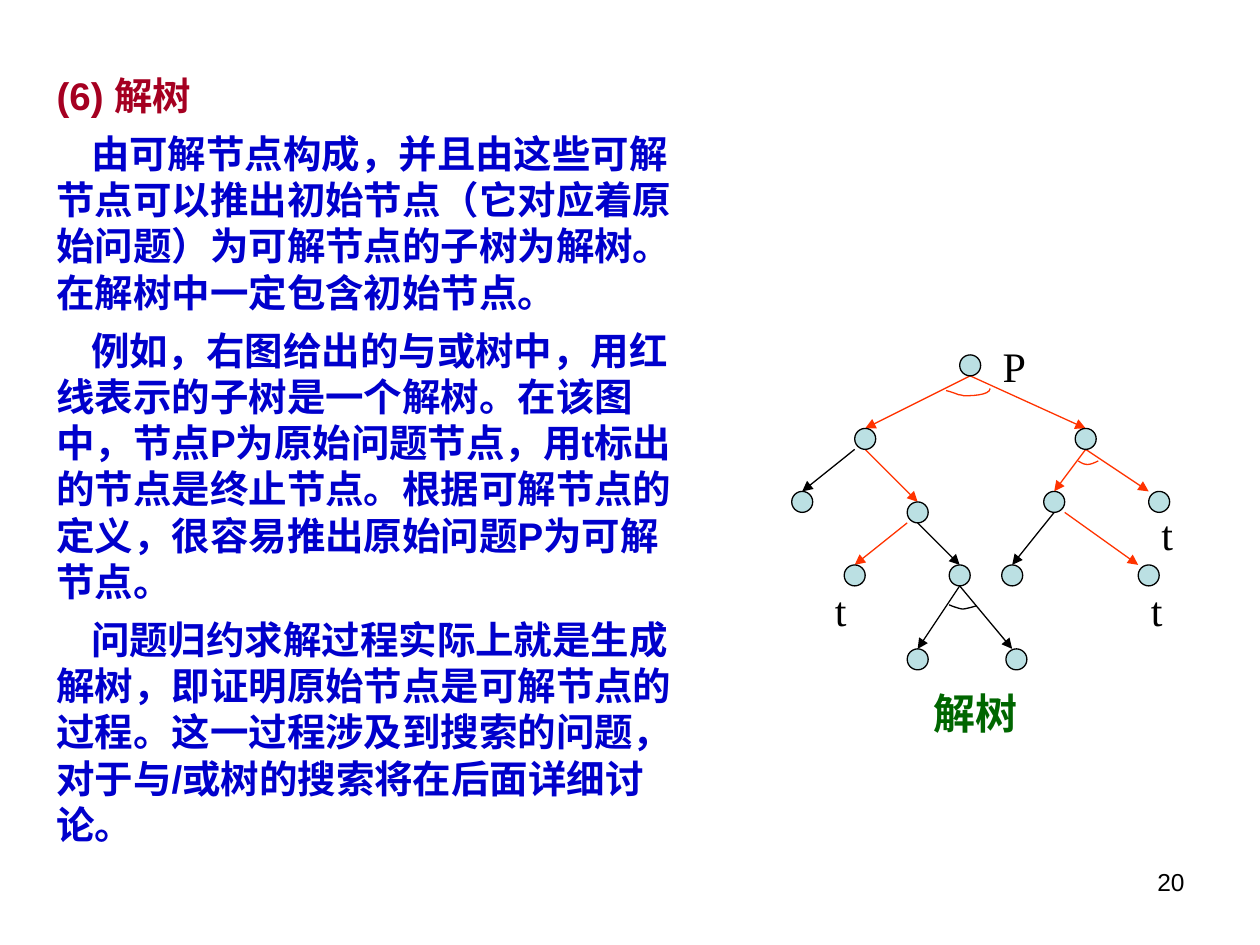
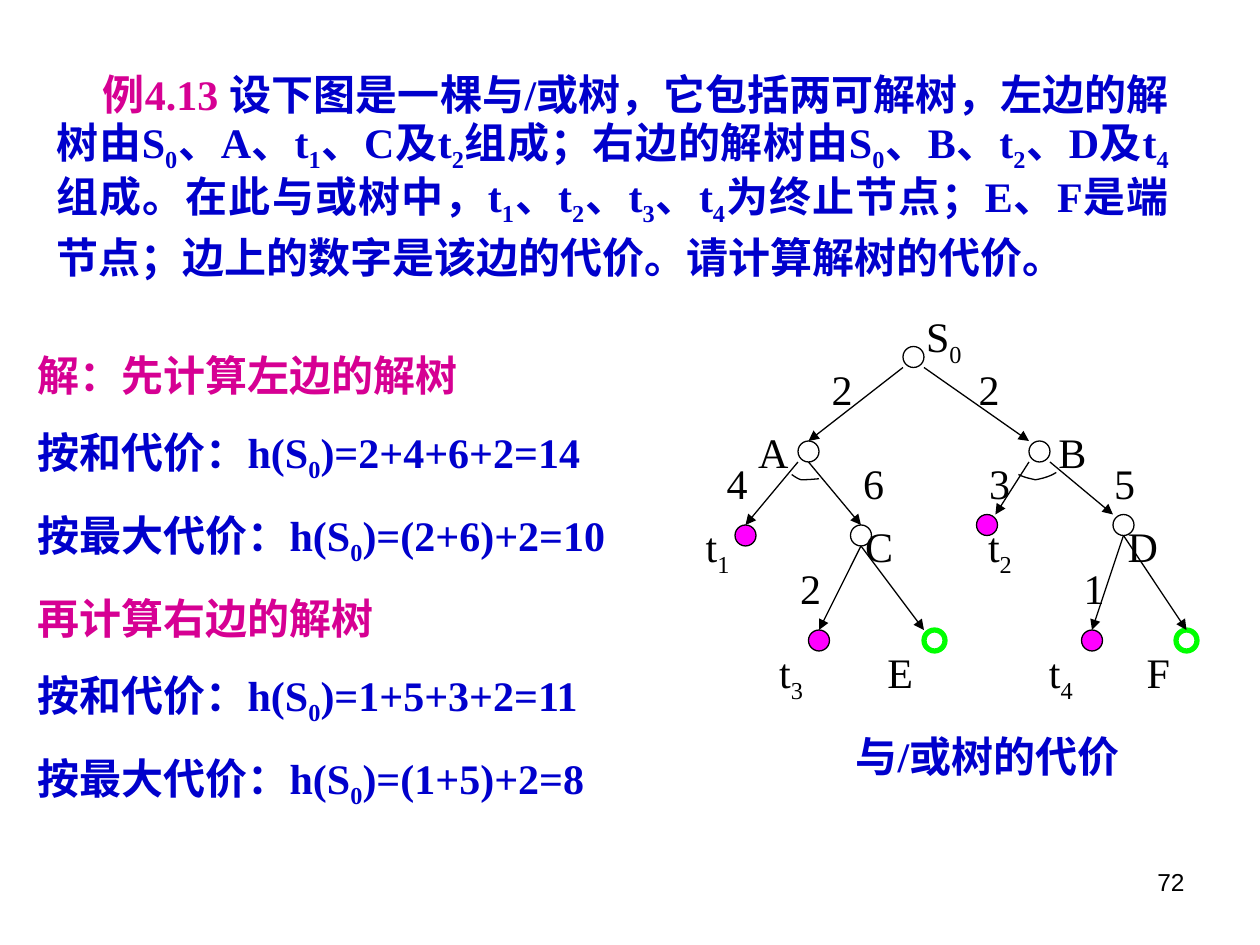
from dataclasses import dataclass
from typing import NamedTuple

from lxml.etree import SubElement
from pptx import Presentation
from pptx.dml.color import RGBColor
from pptx.enum.shapes import MSO_CONNECTOR, MSO_SHAPE
from pptx.enum.text import MSO_ANCHOR, MSO_AUTO_SIZE, PP_ALIGN
from pptx.oxml.ns import qn
from pptx.util import Inches, Pt

COLUMNS, ROWS = 120, 90
TITLE_ONLY, BLANK = 5, 6


class TextStyle(NamedTuple):
    font: str
    size: float
    bold: bool = False
    leading: float = None
    subscript_leading: float = None
    before: float = 0
    align: PP_ALIGN = PP_ALIGN.LEFT


@dataclass(frozen=True)
class Theme:
    black: str = "000000"
    blue: str = "0000CC"
    crimson: str = "A50021"
    magenta: str = "D60093"
    green: str = "006600"
    red: str = "FF3300"
    pale: str = "BBE0E3"
    terminal: str = "FF00FF"
    end: str = "00FF00"
    east_asian: str = "Noto Sans CJK SC"
    thin: float = 0.75
    thick: float = 3
    page: TextStyle = TextStyle("Arial", 14, align=PP_ALIGN.RIGHT)
    prose: TextStyle = TextStyle("Arial", 22, True, 26.4, before=6.9)
    example: TextStyle = TextStyle("Times New Roman", 24, True, 31, 31, align=PP_ALIGN.JUSTIFY)
    steps: TextStyle = TextStyle("Times New Roman", 24, True, 28.6, 32.6, 15, PP_ALIGN.JUSTIFY)
    caption: TextStyle = TextStyle("Times New Roman", 24, True, 31)
    label: TextStyle = TextStyle("Times New Roman", 24)


class Deck:
    def __init__(self, theme):
        self.theme = theme
        self.file = Presentation()
        self.file.slide_width, self.file.slide_height = Inches(10), Inches(7.5)
        self.origin = (0, 0)
        self.slide = None

    def start(self, layout, number, origin=(0, 0)):
        self.slide = self.file.slides.add_slide(self.file.slide_layouts[layout])
        self.origin = (0, 0)
        self.text((86, 82, 28, 6.2), [[(number, self.theme.black)]], self.theme.page)
        self.origin = origin

    def x(self, column):
        return round(self.file.slide_width * column / COLUMNS)

    def y(self, row):
        return round(self.file.slide_height * row / ROWS)

    def point(self, column, row):
        return self.x(column + self.origin[0]), self.y(row + self.origin[1])

    def fill_frame(self, frame, paragraphs, style, indent=0, inset=True):
        frame.word_wrap = inset
        frame.auto_size = MSO_AUTO_SIZE.NONE
        frame.vertical_anchor = MSO_ANCHOR.TOP
        frame.margin_left = frame.margin_right = Inches(0.1 if inset else 0)
        frame.margin_top = frame.margin_bottom = Inches(0.05 if inset else 0)
        for index, pieces in enumerate(paragraphs):
            paragraph = frame.add_paragraph() if index else frame.paragraphs[0]
            paragraph.alignment = style.align
            paragraph.space_before = Pt(style.before if index else 0)
            lowered = any("_" in text for text, color in pieces)
            leading = style.subscript_leading if lowered else style.leading
            if leading:
                paragraph.line_spacing = Pt(leading)
            properties = paragraph._p.get_or_add_pPr()
            properties.set("hangingPunct", "0")
            if indent:
                properties.set("indent", str(self.x(indent)))
            for text, color in pieces:
                first, *others = text.split("_")
                self.run(paragraph, first, style, color)
                for part in others:
                    self.run(paragraph, part[0], style, color, lowered=True)
                    self.run(paragraph, part[1:], style, color)

    def run(self, paragraph, text, style, color, lowered=False):
        if not text:
            return
        run = paragraph.add_run()
        run.text = text
        run.font.name = style.font
        run.font.size = Pt(style.size)
        run.font.bold = style.bold
        run.font.color.rgb = RGBColor.from_string(color)
        properties = run._r.get_or_add_rPr()
        SubElement(properties, qn("a:ea"), typeface=self.theme.east_asian)
        if lowered:
            properties.set("baseline", "-25000")

    def text(self, area, paragraphs, style, indent=0, inset=True):
        left, top, width, height = area
        box = self.slide.shapes.add_textbox(
            *self.point(left, top), self.x(width), self.y(height))
        self.fill_frame(box.text_frame, paragraphs, style, indent, inset)

    def title(self, area, text, color):
        heading = self.slide.shapes.title
        left, top, width, height = area
        heading.left, heading.top = self.x(left), self.y(top)
        heading.width, heading.height = self.x(width), self.y(height)
        self.fill_frame(heading.text_frame, [[(text, color)]], self.theme.prose)

    def label(self, text, column, baseline):
        self.text((column, baseline - 4, 4, 4.8), [[(text, self.theme.black)]],
                  self.theme.label, inset=False)

    def caption(self, text, color, column, baseline):
        self.text((column, baseline - 4.2, 30, 5.2), [[(text, color)]],
                  self.theme.caption, inset=False)

    def node(self, column, row, fill=None, outline=None):
        circle = self.slide.shapes.add_shape(
            MSO_SHAPE.OVAL, *self.point(column - 1, row - 1), self.x(2), self.y(2))
        circle.shadow.inherit = False
        if fill:
            circle.fill.solid()
            circle.fill.fore_color.rgb = RGBColor.from_string(fill)
        else:
            circle.fill.background()
        circle.line.color.rgb = RGBColor.from_string(outline or self.theme.black)
        circle.line.width = Pt(self.theme.thick if outline else self.theme.thin)

    def edge(self, parent, child, color, leave=0, arrive=0):
        arrow = self.slide.shapes.add_connector(
            MSO_CONNECTOR.STRAIGHT,
            *self.point(parent[0] + leave, parent[1] + 1),
            *self.point(child[0] + arrive, child[1] - 1))
        arrow.line.color.rgb = RGBColor.from_string(color)
        arrow.line.width = Pt(self.theme.thin)
        SubElement(arrow.line._get_or_add_ln(), qn("a:tailEnd"), type="triangle")
        SubElement(arrow._element.spPr, qn("a:effectLst"))

    def arc(self, knots, color, steps=8):
        curve = []
        for first in range(0, len(knots) - 1, 3):
            a, b, c, d = knots[first:first + 4]
            for step in range(1, steps + 1):
                t = step / steps
                u = 1 - t
                curve.append(self.point(*(
                    u**3 * a[i] + 3 * u * u * t * b[i] + 3 * u * t * t * c[i] + t**3 * d[i]
                    for i in (0, 1))))
        builder = self.slide.shapes.build_freeform(*self.point(*knots[0]))
        builder.add_line_segments(curve, close=False)
        mark = builder.convert_to_shape()
        mark.shadow.inherit = False
        mark.fill.background()
        mark.line.color.rgb = RGBColor.from_string(color)
        mark.line.width = Pt(self.theme.thin)


def solution_tree(deck):
    theme = deck.theme
    deck.start(TITLE_ONLY, "20", origin=(0.4, 0.8))
    deck.title((4.2, 6.24, 62.4, 5.5), "(6) 解树", theme.crimson)
    prose = [
        "由可解节点构成，并且由这些可解节点可以推出初始节点（它对应着原始问题）为可解节点的子树为解树。在解树中一定包含初始节点。",
        "例如，右图给出的与或树中，用红 线表示的子树是一个解树。在该图中，节点P为原始问题节点，用t标出的节点是终止节点。根据可解节点的定义，很容易推出原始问题P为可解节点。",
        "问题归约求解过程实际上就是生成解树，即证明原始节点是可解节点的过程。这一过程涉及到搜索的问题，对于与/或树的搜索将在后面详细讨论。",
    ]
    deck.text((3.8, 11, 62.4, 69), [[(text, theme.blue)] for text in prose],
              theme.prose, indent=3.3)

    root, left, right = (92, 34), (82, 41), (103, 41)
    left_leaf, left_inner = (76, 47), (87, 48)
    right_inner, right_goal = (100, 47), (110, 47)
    left_goal, joint, plain_leaf, low_goal = (81, 54), (91, 54), (96, 54), (109, 54)
    joint_left, joint_right = (87, 62), (96.4, 62)
    for parent, child, color, leave, arrive in (
            (root, left, theme.red, 0, 0),
            (root, right, theme.red, 0, 0),
            (left, left_leaf, theme.black, -1, 0),
            (left, left_inner, theme.red, 0, 0),
            (right, right_inner, theme.red, 0, 0),
            (right, right_goal, theme.red, 0, -1),
            (left_inner, left_goal, theme.red, -1, 0),
            (left_inner, joint, theme.black, 0, 0),
            (right_inner, plain_leaf, theme.black, 0, 0),
            (right_inner, low_goal, theme.red, 1, -1),
            (joint, joint_left, theme.black, 0, 0),
            (joint, joint_right, theme.black, 0, -0.4)):
        deck.edge(parent, child, color, leave, arrive)
    for place in (root, left, right, left_leaf, left_inner, right_inner, right_goal,
                  left_goal, joint, plain_leaf, low_goal, joint_left, joint_right):
        deck.node(*place, fill=theme.pale)

    deck.arc([(89.7, 36.4), (90.1, 36.5), (90.4, 36.6), (90.9, 36.8),
              (91.1, 36.8), (91.4, 36.9), (91.4, 36.9),
              (91.8, 36.9), (93.9, 36.9), (93.9, 36.2)], theme.red)
    deck.arc([(102.3, 43.1), (103, 43.6), (103.4, 43.5), (104.2, 43.1)], theme.red)
    deck.arc([(90, 56.8), (90.2, 56.9), (91, 57.2), (91.3, 57.2),
              (91.6, 57.2), (92.6, 56.9), (92.6, 56.9)], theme.black)
    for text, column, baseline in (("P", 95.1, 35.6), ("t", 110.2, 51.6),
                                   ("t", 79.1, 58.9), ("t", 109.2, 58.9)):
        deck.label(text, column, baseline)
    deck.caption("解树", theme.green, 88.5, 68.5)


def tree_cost(deck):
    theme = deck.theme
    deck.start(BLANK, "72")
    deck.text((4.2, 5.6, 108.3, 26.5), [[
        ("例4.13 ", theme.magenta),
        ("设下图是一棵与/或树，它包括两可解树，左边的解树由S_0、A、t_1、C及t_2组成；"
         "右边的解树由S_0、B、t_2、D及t_4组成。在此与或树中，t_1、t_2、t_3、t_4为终止节点；"
         "E、F是端节点；边上的数字是该边的代价。请计算解树的代价。", theme.blue),
    ]], theme.example, indent=4.4)
    deck.text((2.4, 32.76, 63, 45), [[line] for line in (
        ("解：先计算左边的解树", theme.magenta),
        ("按和代价：h(S_0)=2+4+6+2=14", theme.blue),
        ("按最大代价：h(S_0)=(2+6)+2=10", theme.blue),
        ("再计算右边的解树", theme.magenta),
        ("按和代价：h(S_0)=1+5+3+2=11", theme.blue),
        ("按最大代价：h(S_0)=(1+5)+2=8", theme.blue),
    )], theme.steps)

    places = {"S0": (87, 34), "A": (77, 43), "B": (99, 43), "t1": (71, 51),
              "C": (82, 51), "t2": (94, 50), "D": (107, 50), "t3": (78, 61),
              "E": (89, 61), "t4": (104, 61), "F": (113, 61)}
    for name, place in places.items():
        deck.node(*place, fill=theme.terminal if name.startswith("t") else None,
                  outline=theme.end if name in "EF" else None)
    for parent, child, leave, arrive in (
            ("S0", "A", -1, 0), ("S0", "B", 1, -1), ("A", "t1", -1, 0),
            ("A", "C", 0, 0), ("B", "t2", -1, 0.8), ("B", "D", 1, -1),
            ("C", "t3", 0, 0), ("C", "E", 0, -1), ("D", "t4", 0, 0), ("D", "F", 0, 0)):
        deck.edge(places[parent], places[child], theme.black, leave, arrive)
    deck.arc([(75.4, 45.2), (75.7, 45.4), (76.1, 45.7), (76.4, 45.7),
              (77, 45.7), (78, 45.6), (78, 45.6)], theme.black)
    deck.arc([(97, 45.2), (97.6, 45.5), (98.2, 45.6), (98.6, 45.7),
              (99.2, 45.6), (100, 45.4), (100.6, 45)], theme.black)

    label_rows = {
        33.6: (("S_0", 88.2),),
        38.6: (("2", 79.2), ("2", 93.2)),
        44.6: (("A", 72.2), ("B", 100.8)),
        47.6: (("4", 69.2), ("6", 82.2), ("3", 94.2), ("5", 106.1)),
        53.6: (("t_1", 67.2), ("C", 82.4), ("t_2", 94.1), ("D", 107.4)),
        57.6: (("2", 76.2), ("1", 103.2)),
        65.6: (("t_3", 74.2), ("E", 84.5), ("t_4", 99.9), ("F", 109.2)),
    }
    for baseline, labels in label_rows.items():
        for text, column in labels:
            deck.label(text, column, baseline)
    deck.caption("与/或树的代价", theme.blue, 81.5, 73.4)


def main():
    deck = Deck(Theme())
    solution_tree(deck)
    tree_cost(deck)
    deck.file.save("out.pptx")


if __name__ == "__main__":
    main()
